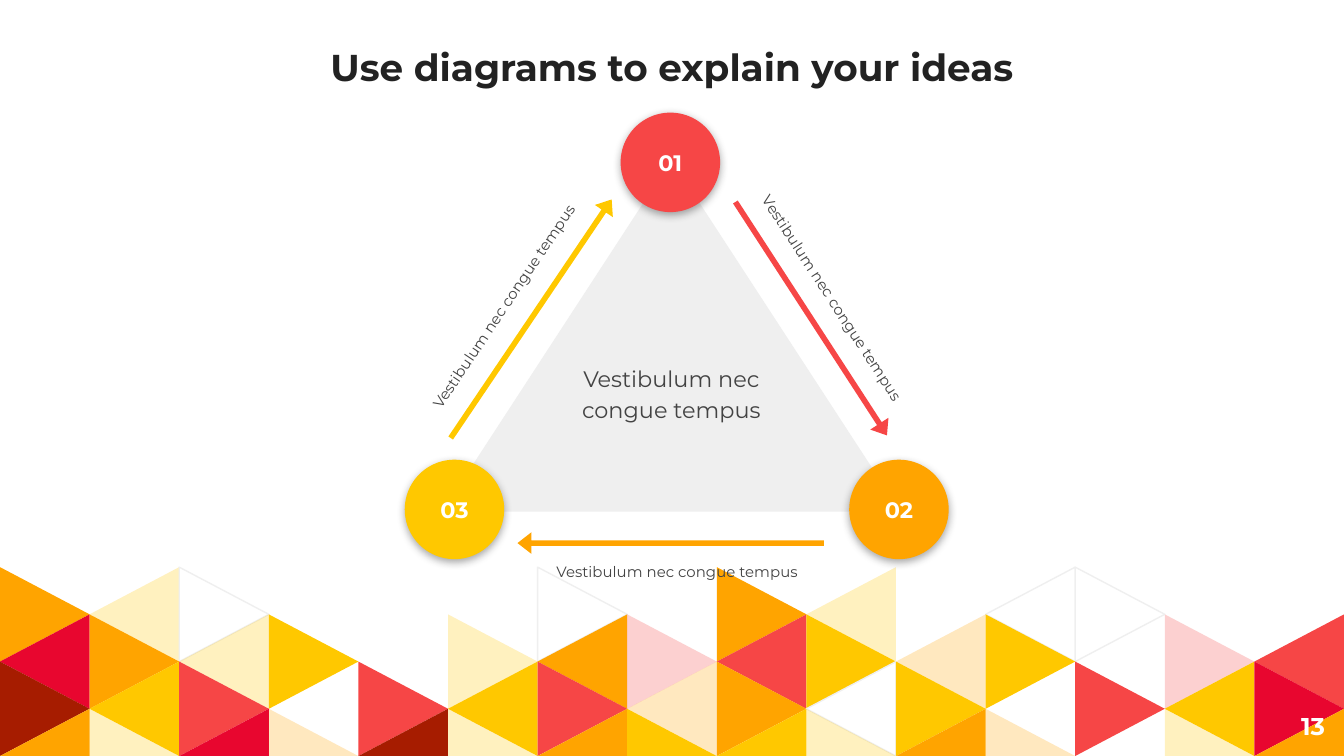
from lxml import etree
from pptx import Presentation
from pptx.dml.color import RGBColor
from pptx.enum import shapes, text
from pptx.oxml.ns import qn
from pptx.util import Cm, Pt

ORANGE = RGBColor(0xFF, 0xA4, 0x00)
YELLOW = RGBColor(0xFF, 0xC8, 0x00)
CORAL = RGBColor(0xF6, 0x46, 0x46)
CRIMSON = RGBColor(0xE8, 0x06, 0x2F)
MAROON = RGBColor(0xA6, 0x1C, 0x00)
WHITE = RGBColor(0xFF, 0xFF, 0xFF)
PALE_GREY = RGBColor(0xEF, 0xEF, 0xEF)
GREY = RGBColor(0x43, 0x43, 0x43)
INK = RGBColor(0x22, 0x22, 0x22)
SHADOW = RGBColor(0x21, 0x21, 0x21)

FONT = "Montserrat"
PHRASE = "Vestibulum nec congue tempus"
CENTER = text.PP_ALIGN.CENTER

# One row of tiles per level; lower case is the same colour at 25 % opacity
TILE_COLOURS = {"O": ORANGE, "Y": YELLOW, "C": CORAL,
                "R": CRIMSON, "M": MAROON, "W": WHITE}
TILE_ROWS = ["OyW...W.Oy.WW..",
             "ROyY.yOcCYoY.cC",
             "MYC.CYCoOWY.CYR",
             "OyRoMyOYYyOo.yO"]

# Number, colour, turn, then (left, top, width) of node, arrow and label in cm
STEPS = [
    ("02", ORANGE, 180, 0, (8.4, 6.56, 1.88), (2.13, 7.93, 5.79), (2.38, 8.21, 5.54)),
    ("03", YELLOW, 304, 303.9, (0, 6.56, 1.88), (-0.33, 3.69, 5.44), (-0.89, 3.18, 5.54)),
    ("01", CORAL, 57, 57, (4.08, 0, 1.88), (5.05, 3.69, 5.26), (5.28, 3.03, 5.56)),
]


def add_colour(parent, colour, opacity):
    node = etree.SubElement(parent, qn("a:srgbClr"), val=str(colour))
    etree.SubElement(node, qn("a:alpha"), val=str(opacity * 1000))


def write(shape, words, size, colour, bold=False, align=CENTER,
          anchor=text.MSO_ANCHOR.MIDDLE, spacing=None):
    frame = shape.text_frame
    frame_format = {"word_wrap": True, "auto_size": text.MSO_AUTO_SIZE.NONE,
                    "vertical_anchor": anchor}
    frame_format.update({f"margin_{side}": Cm(0.25)
                         for side in ("left", "top", "right", "bottom")})
    for name, value in frame_format.items():
        setattr(frame, name, value)
    para = frame.paragraphs[0]
    para.alignment = align
    if spacing:
        para.line_spacing = spacing
    span = para.add_run()
    span.text = words
    span.font.color.rgb = colour
    for name, value in {"name": FONT, "size": Pt(size), "bold": bold}.items():
        setattr(span.font, name, value)


def add_filled(page, kind, box, colour):
    shape = page.shapes.add_shape(kind, *map(Cm, box))
    shape.shadow.inherit = False
    shape.fill.solid()
    shape.fill.fore_color.rgb = colour
    shape.line.fill.background()
    return shape


def add_note(page, box, words, size, **style):
    note = page.shapes.add_textbox(*map(Cm, box))
    write(note, words, size, **style)
    return note


def draw_mosaic(page, box):
    left, top, width, height = box
    step_x = width / len(TILE_ROWS[0])
    step_y = height / len(TILE_ROWS)
    for level, row in enumerate(TILE_ROWS):
        for column, code in enumerate(row):
            if code == ".":
                continue
            # Tiles point right and left in turn; the last row is cut in half
            near, far = left + column * step_x, left + (column + 1) * step_x
            if (column + level) % 2:
                near, far = far, near
            y = top + level * step_y
            tip_y = y + step_y
            base_y = min(y + 2 * step_y, top + height)
            outline = page.shapes.build_freeform(Cm(near), Cm(y))
            outline.add_line_segments([(Cm(far), Cm(tip_y)), (Cm(near), Cm(base_y))])
            tile = outline.convert_to_shape()
            tile.shadow.inherit = False
            tile.fill.solid()
            colour = TILE_COLOURS[code.upper()]
            tile.fill.fore_color.rgb = colour
            if code.islower():
                fill = tile.element.spPr.find(qn("a:solidFill"))
                fill.remove(fill[0])
                add_colour(fill, colour, 25)
            if code == "W":
                tile.line.color.rgb = PALE_GREY
                tile.line.width = Pt(0.75)
            else:
                tile.line.fill.background()


def draw_title(page, box):
    title = page.shapes.title
    for name, value in zip(("left", "top", "width", "height"), box):
        setattr(title, name, Cm(value))
    write(title, "Use diagrams to explain your ideas", 20, INK, bold=True,
          anchor=text.MSO_ANCHOR.BOTTOM)


def draw_step(page, origin, number, colour, arrow_turn, label_turn, node, arrow, label):
    def placed(part, height):
        return origin[0] + part[0], origin[1] + part[1], part[2], height

    # Arrow to the next node
    pointer = add_filled(page, shapes.MSO_SHAPE.RIGHT_ARROW, placed(arrow, 0.41), colour)
    pointer.adjustments[0] = 0.255
    pointer.adjustments[1] = 0.643
    pointer.rotation = arrow_turn

    # Label along the arrow
    note = add_note(page, placed(label, 0.97), PHRASE, 8, colour=GREY,
                    anchor=text.MSO_ANCHOR.TOP, spacing=1.15)
    note.rotation = label_turn % 180 if label_turn == 180 else label_turn

    # Numbered node with a soft shadow
    circle = add_filled(page, shapes.MSO_SHAPE.OVAL, placed(node, node[2]), colour)
    effects = circle.element.spPr.find(qn("a:effectLst"))
    shadow = etree.SubElement(effects, qn("a:outerShdw"), blurRad=str(Pt(4.5)),
                              dist=str(Pt(1.5)), dir="5400000",
                              algn="bl", rotWithShape="0")
    add_colour(shadow, SHADOW, 38)
    write(circle, number, 12, WHITE, bold=True)


def draw_cycle(page, origin):
    left, top = origin
    add_filled(page, shapes.MSO_SHAPE.ISOSCELES_TRIANGLE,
               (left + 0.71, top + 0.89, 8.66, 6.65), PALE_GREY)
    add_note(page, (left + 2.64, top + 4.45, 4.8, 2.67), PHRASE, 12, colour=GREY,
             anchor=text.MSO_ANCHOR.TOP, spacing=1.15)
    for step in STEPS:
        draw_step(page, origin, *step)


def main():
    deck = Presentation()
    deck.slide_width, deck.slide_height = Cm(25.4), Cm(14.29)
    page = deck.slides.add_slide(deck.slide_layouts[5])
    draw_mosaic(page, (0, 10.72, 25.4, 3.57))
    draw_title(page, (0, 0, 25.4, 1.93))
    add_note(page, (23.77, 13.18, 1.52, 1.09), "13", 13, colour=WHITE, bold=True,
             align=text.PP_ALIGN.RIGHT)
    draw_cycle(page, (7.65, 2.13))
    deck.save("out.pptx")


if __name__ == "__main__":
    main()
